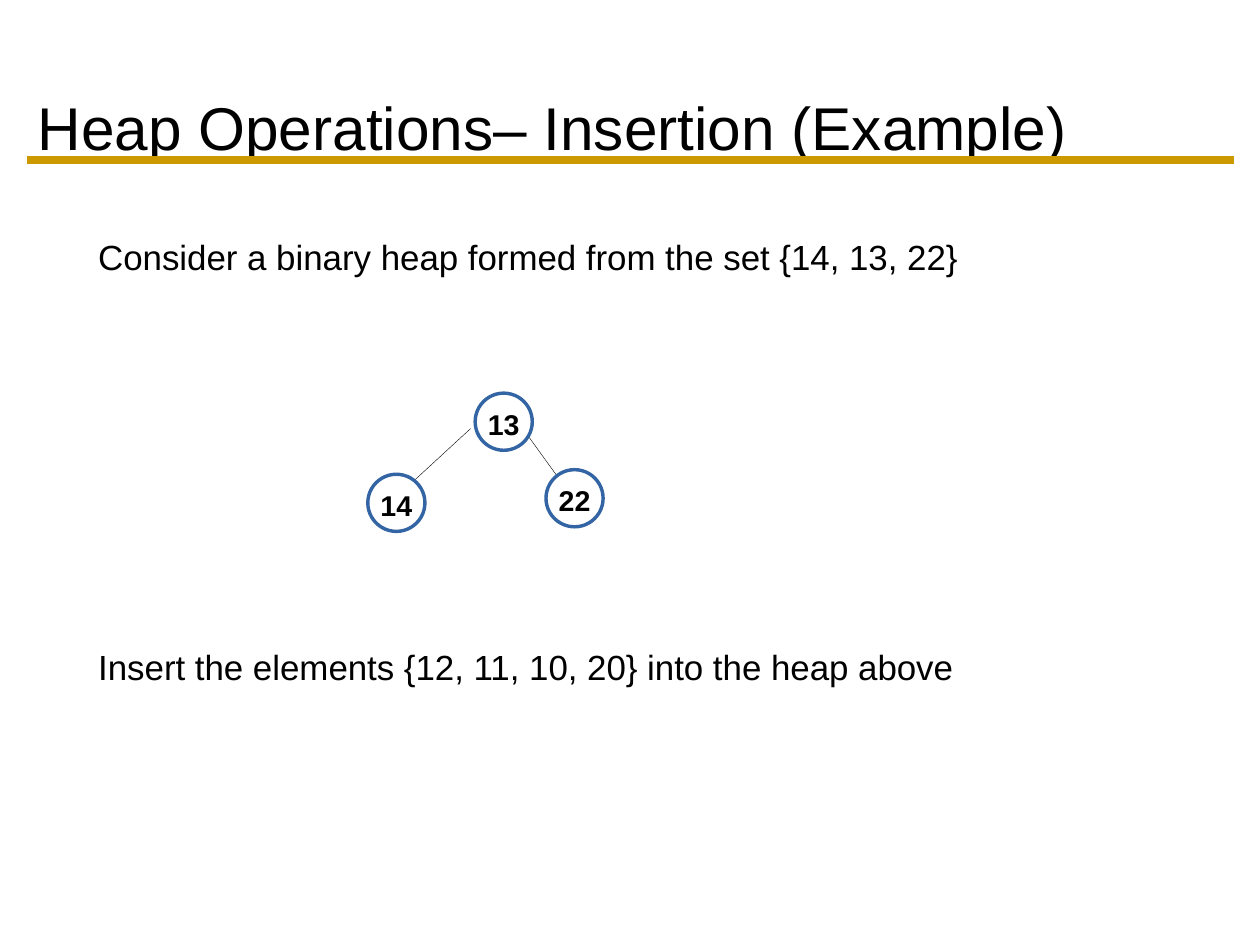
from pptx import Presentation
from pptx.dml.color import RGBColor
from pptx.enum.shapes import MSO_CONNECTOR, MSO_SHAPE
from pptx.enum.text import MSO_ANCHOR, PP_ALIGN
from pptx.oxml.ns import qn
from pptx.util import Inches, Pt
from lxml import etree

STRAIGHT = MSO_CONNECTOR.STRAIGHT
OVAL = MSO_SHAPE.OVAL
TOP, MIDDLE = MSO_ANCHOR.TOP, MSO_ANCHOR.MIDDLE
LEFT, CENTER = PP_ALIGN.LEFT, PP_ALIGN.CENTER
TITLE_ONLY = 5

COLORS = {"text": "000000", "rule": "CC9900", "node": "3364A3", "edge": "000000"}


def write_text(shape, text, size, bold=False, align=LEFT, anchor=TOP, top_inset=0, wrap=True):
    frame = shape.text_frame
    frame_format = {
        "margin_left": 0, "margin_right": 0, "margin_bottom": 0,
        "margin_top": Inches(top_inset), "vertical_anchor": anchor, "word_wrap": wrap,
    }
    for name, value in frame_format.items():
        setattr(frame, name, value)
    paragraph = frame.paragraphs[0]
    paragraph.alignment = align
    paragraph.line_spacing = 1.0
    run = paragraph.add_run()
    run.text = text
    for name, value in {"name": "Arial", "size": Pt(size), "bold": bold}.items():
        setattr(run.font, name, value)
    run.font.color.rgb = RGBColor.from_string(COLORS["text"])


def add_line(slide, start, end, color, width):
    points = [Inches(value) for value in (*start, *end)]
    line = slide.shapes.add_connector(STRAIGHT, *points)
    line.line.color.rgb = RGBColor.from_string(COLORS[color])
    line.line.width = Pt(width)
    etree.SubElement(line._element.spPr, qn("a:effectLst"))


presentation = Presentation()
presentation.slide_width = Inches(11.03)
presentation.slide_height = Inches(8.26)
slide = presentation.slides.add_slide(presentation.slide_layouts[TITLE_ONLY])

# Title and the rule below it
title = slide.shapes.title
title_box = {"left": 0.33, "top": 0.79, "width": 9.6, "height": 0.56}
for name, value in title_box.items():
    setattr(title, name, Inches(value))
write_text(title, "Heap Operations– Insertion (Example)", 38)
add_line(slide, (0.24, 1.4), (10.8, 1.4), "rule", 5.04)

# Statements above and below the heap
statements = [
    (2.06, "Consider a binary heap formed from the set {14, 13, 22}"),
    (5.65, "Insert the elements {12, 11, 10, 20} into the heap above"),
]
for top, text in statements:
    box = slide.shapes.add_textbox(Inches(0.86), Inches(top), Inches(8), Inches(0.33))
    write_text(box, text, 22)

# Heap edges
for start, end in [((4.12, 3.75), (3.62, 4.21)), ((4.62, 3.81), (4.88, 4.17))]:
    add_line(slide, start, end, "edge", 0.25)

# Heap nodes
NODE_SIZE = Inches(0.5)
for key, left, top in [("13", 4.16, 3.44), ("14", 3.22, 4.15), ("22", 4.78, 4.11)]:
    node = slide.shapes.add_shape(OVAL, Inches(left), Inches(top), NODE_SIZE, NODE_SIZE)
    node.shadow.inherit = False
    node.fill.background()
    node.line.color.rgb = RGBColor.from_string(COLORS["node"])
    node.line.width = Pt(2.15)
    write_text(node, key, 18, bold=True, align=CENTER, anchor=MIDDLE, top_inset=0.04, wrap=False)

presentation.save("out.pptx")
